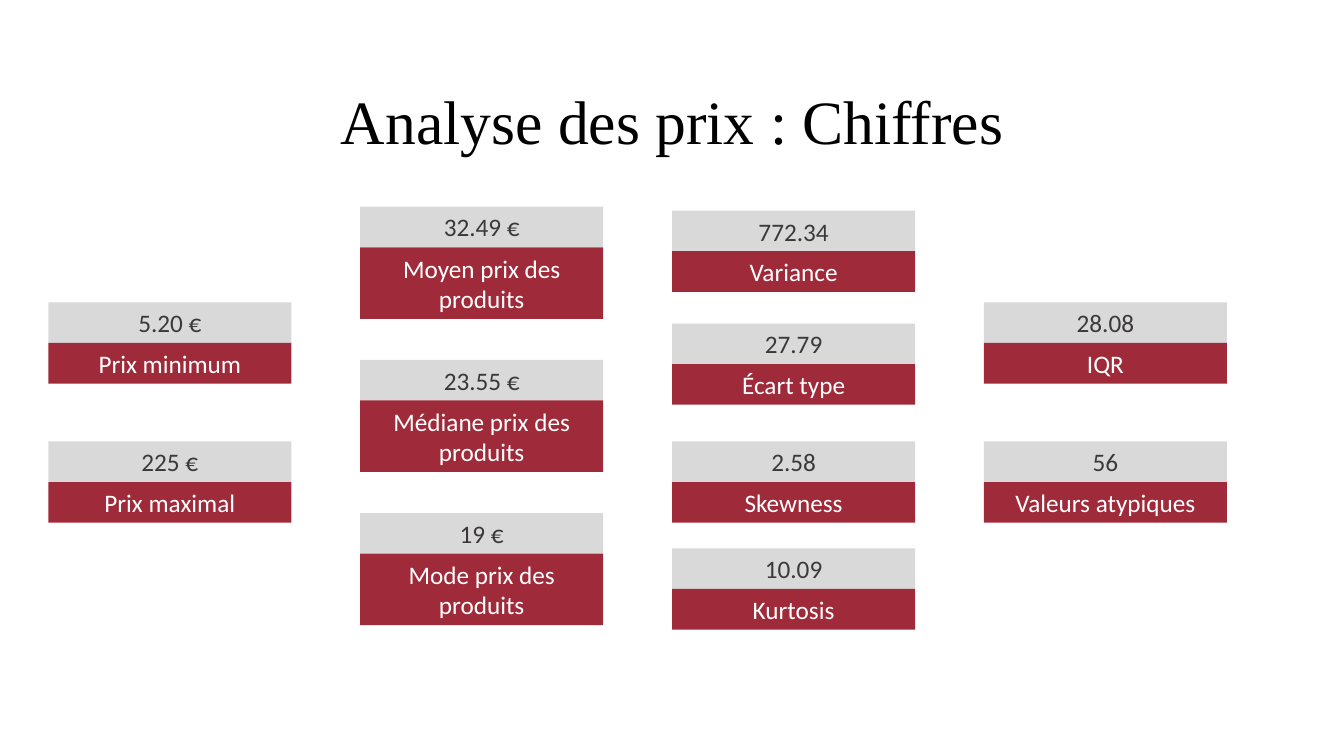
import pptx
import pptx.util
import pptx.dml.color
import pptx.enum.shapes
import pptx.enum.text

Inches, Pt = pptx.util.Inches, pptx.util.Pt
RGB = pptx.dml.color.RGBColor
CENTER = pptx.enum.text.PP_ALIGN.CENTER

COLORS = {"value": "D9D9D9", "value text": "3B3838",
          "label": "9F2B3A", "label text": "FFFFFF", "title": "000000"}

# Grid of the cards, in inches
LEFT, COLUMN_PITCH, CARD_WIDTH = 0.48, 3.093, 2.41
LINE_HEIGHT, TWO_LINES = 0.403, 0.71

# One entry per column: label height, then (top, value, label) for each card
columns = [
    (LINE_HEIGHT, [(3.0, "5.20 €", "Prix minimum"),
                   (4.38, "225 €", "Prix maximal")]),
    (TWO_LINES, [(2.05, "32.49 €", "Moyen prix des produits"),
                 (3.57, "23.55 €", "Médiane prix des produits"),
                 (5.09, "19 €", "Mode prix des produits")]),
    (LINE_HEIGHT, [(2.09, "772.34", "Variance"),
                   (3.21, "27.79", "Écart type"),
                   (4.38, "2.58", "Skewness"),
                   (5.44, "10.09", "Kurtosis")]),
    (LINE_HEIGHT, [(3.0, "28.08", "IQR"),
                   (4.38, "56", "Valeurs atypiques")]),
]


def style_text(frame, text, font_name, size, color):
    frame.text = text
    paragraph = frame.paragraphs[0]
    paragraph.alignment = CENTER
    font = paragraph.runs[0].font
    font.name, font.size = font_name, Pt(size)
    font.color.rgb = RGB.from_string(COLORS[color])


def add_band(card, left, top, height, text, role):
    band = card.shapes.add_shape(pptx.enum.shapes.MSO_SHAPE.RECTANGLE, Inches(left),
                                 Inches(top), Inches(CARD_WIDTH), Inches(height))
    band.shadow.inherit = False
    band.fill.solid()
    band.fill.fore_color.rgb = RGB.from_string(COLORS[role])
    band.line.fill.background()
    style_text(band.text_frame, text, "Calibri", 18, role + " text")
    band.text_frame.word_wrap = True
    band.text_frame.auto_size = pptx.enum.text.MSO_AUTO_SIZE.SHAPE_TO_FIT_TEXT


presentation = pptx.Presentation()
presentation.slide_width, presentation.slide_height = Inches(13.33), Inches(7.5)
slide = presentation.slides.add_slide(presentation.slide_layouts[5])

# Title
title = slide.shapes.title
title.left, title.top = Inches(0.82), Inches(0.59)
title.width, title.height = Inches(11.7), Inches(1.03)
style_text(title.text_frame, "Analyse des prix : Chiffres", "Times New Roman", 44, "title")
title.text_frame.vertical_anchor = pptx.enum.text.MSO_ANCHOR.BOTTOM
title.text_frame.paragraphs[0].line_spacing = 0.9

# Cards: a grey value above a red label
for column, (label_height, cards) in enumerate(columns):
    left = LEFT + column * COLUMN_PITCH
    for top, value, label in cards:
        card = slide.shapes.add_group_shape()
        add_band(card, left, top, LINE_HEIGHT, value, "value")
        add_band(card, left, top + LINE_HEIGHT, label_height, label, "label")

presentation.save("out.pptx")
